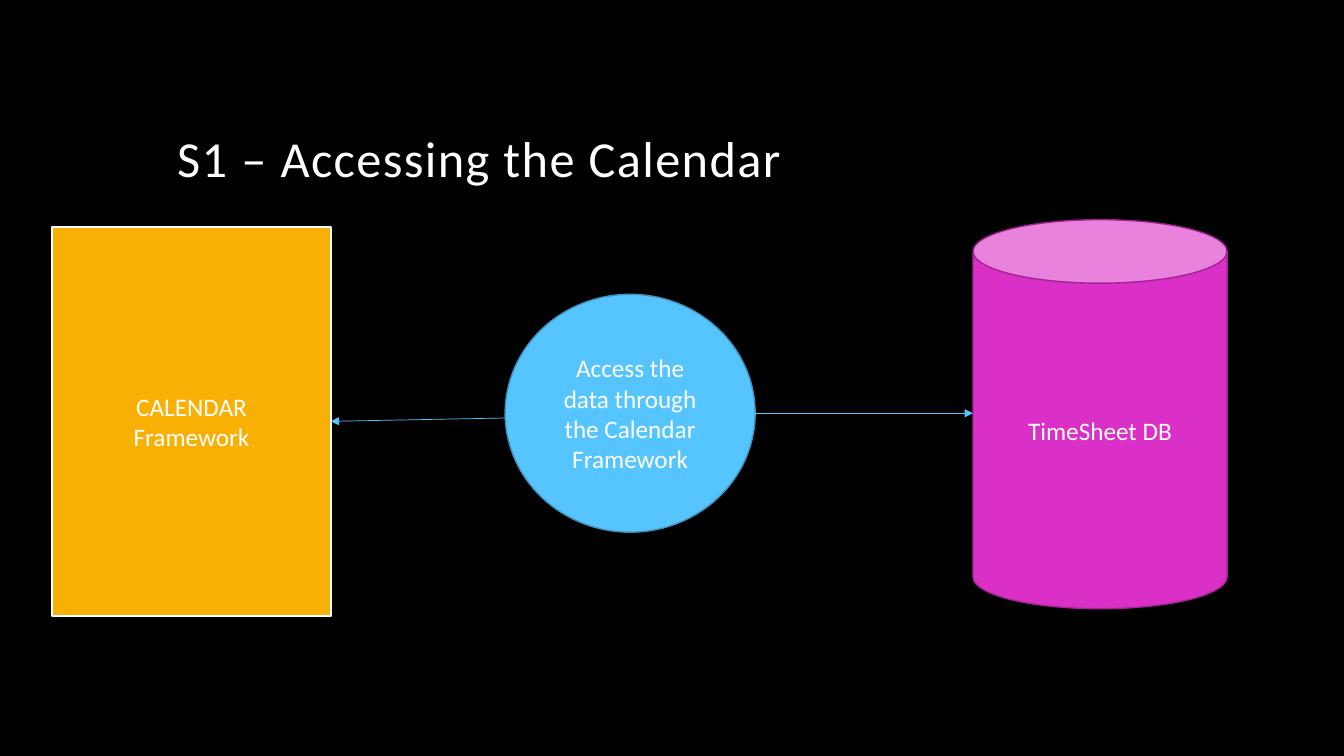
from lxml.etree import SubElement
from pptx import Presentation
from pptx.dml.color import RGBColor
from pptx.enum.shapes import MSO_CONNECTOR, MSO_SHAPE
from pptx.enum.text import MSO_ANCHOR, PP_ALIGN
from pptx.oxml.ns import qn
from pptx.util import Inches, Pt


def color(hex_string):
    return RGBColor.from_string(hex_string)


def write(frame, lines, size, anchor, align):
    frame.word_wrap = True
    frame.vertical_anchor = anchor
    for index, line in enumerate(lines):
        para = frame.paragraphs[0] if index == 0 else frame.add_paragraph()
        para.text = line
        para.alignment = align
        para.font.name = "Calibri"
        para.font.size = Pt(size)
        para.font.color.rgb = color("FFFFFF")


deck = Presentation()
deck.slide_width, deck.slide_height = Inches(13.33), Inches(7.5)
page = deck.slides.add_slide(deck.slide_layouts[6])
page.background.fill.solid()
page.background.fill.fore_color.rgb = color("000000")

# Title
title = page.shapes.add_textbox(Inches(1.66), Inches(0.42), Inches(10), Inches(1.5))
write(title.text_frame, ["S1 – Accessing the Calendar"], 36, MSO_ANCHOR.BOTTOM, PP_ALIGN.LEFT)
heading = title.text_frame.paragraphs[0]
heading.line_spacing = 0.9
heading.runs[0].font._element.set("spc", "100")

# Framework, process and database
nodes = [
    (MSO_SHAPE.RECTANGLE, (0.52, 2.25, 2.76, 3.86), "F8B004", "FFFFFF", 1.5,
     ["CALENDAR", "Framework"]),
    (MSO_SHAPE.OVAL, (5.01, 2.92, 2.48, 2.36), "56C5FF", "4092BD", 1,
     ["Access the data through the Calendar Framework"]),
    (MSO_SHAPE.CAN, (9.65, 2.18, 2.52, 3.86), "DB30C7", "A22493", 1,
     ["TimeSheet DB"]),
]
for kind, place, fill, outline, width, lines in nodes:
    node = page.shapes.add_shape(kind, *map(Inches, place))
    node.shadow.inherit = False
    node.fill.solid()
    node.fill.fore_color.rgb = color(fill)
    node.line.color.rgb = color(outline)
    node.line.width = Pt(width)
    write(node.text_frame, lines, 18, MSO_ANCHOR.MIDDLE, PP_ALIGN.CENTER)

# Arrows to the framework and to the database
for end_x, end_y in [(3.28, 4.18), (9.65, 4.1)]:
    arrow = page.shapes.add_connector(
        MSO_CONNECTOR.STRAIGHT, Inches(7.49), Inches(4.1), Inches(end_x), Inches(end_y))
    arrow.line.color.rgb = color("56C5FF")
    arrow.line.width = Pt(0.5)
    SubElement(arrow.line._get_or_add_ln(), qn("a:tailEnd"), type="triangle")
    SubElement(arrow._element.spPr, qn("a:effectLst"))

deck.save("out.pptx")
